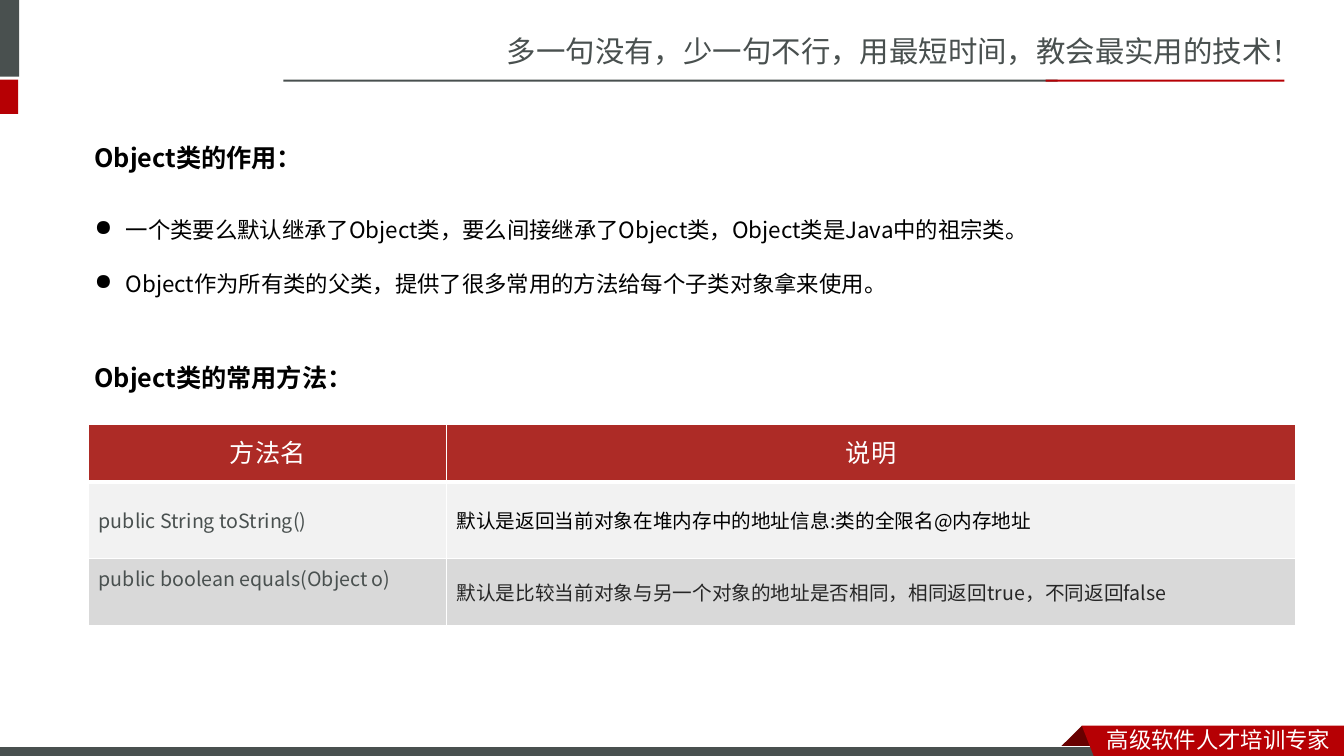
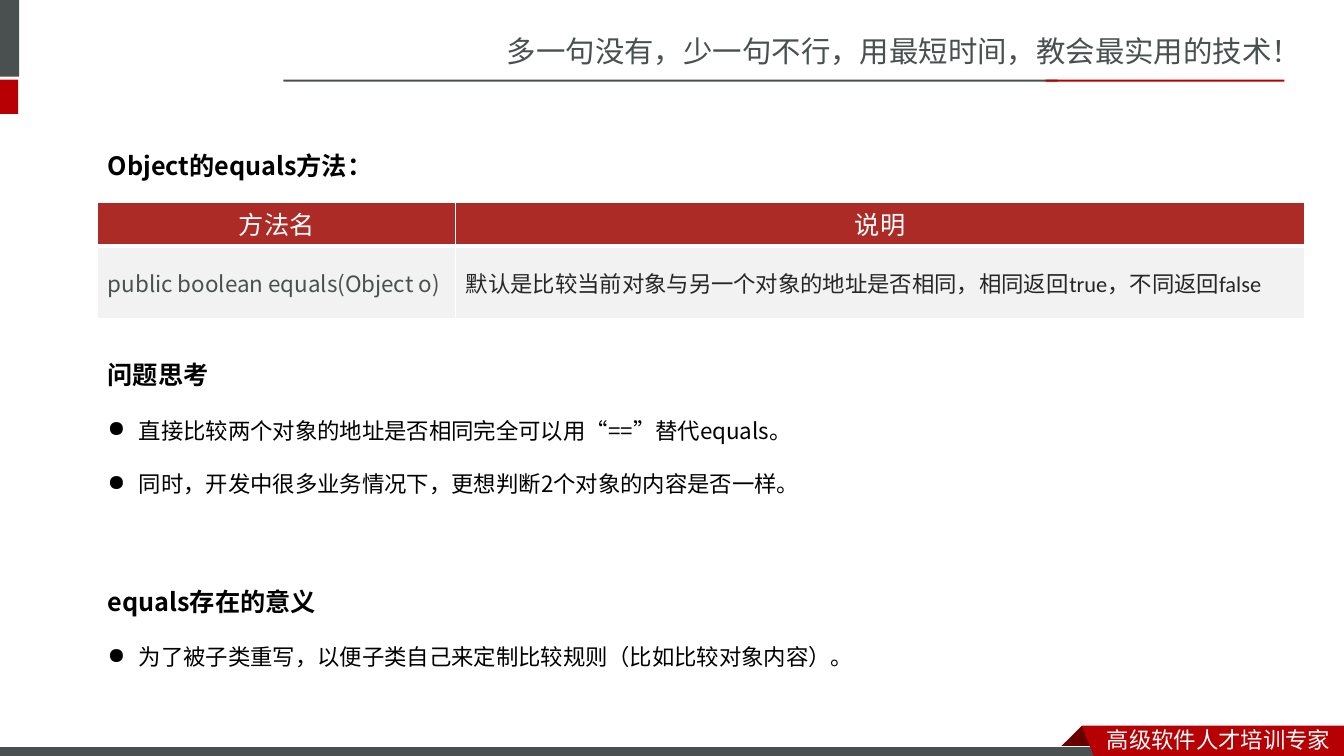
from dataclasses import dataclass

from lxml import etree
from pptx import Presentation
from pptx.dml.color import RGBColor
from pptx.enum.shapes import MSO_SHAPE
from pptx.enum.text import MSO_ANCHOR, MSO_AUTO_SIZE, PP_ALIGN
from pptx.oxml.ns import qn
from pptx.util import Inches, Pt

RECTANGLE = MSO_SHAPE.RECTANGLE
TOP, MIDDLE = MSO_ANCHOR.TOP, MSO_ANCHOR.MIDDLE
CENTER = PP_ALIGN.CENTER
GROW = MSO_AUTO_SIZE.SHAPE_TO_FIT_TEXT


@dataclass(frozen=True)
class Theme:
    gray: str = "49504F"
    red: str = "B60004"
    dark_red: str = "680000"
    header: str = "AD2B26"
    bands: tuple = ("F2F2F2", "D9D9D9")
    black: str = "000000"
    ink: str = "262626"
    white: str = "FFFFFF"
    body_font: str = "Noto Sans CJK JP"
    brand_font: str = "Noto Sans CJK SC"
    latin_font: str = "Calibri"
    slogan_size: int = 21
    heading_size: int = 18
    body_size: int = 16
    small_size: int = 14
    thin_border: float = 1
    thick_border: float = 3


THEME = Theme()
COLUMN_WIDTHS = (3.55, 8.42)
COLUMN_TITLES = ("方法名", "说明")
EQUALS_METHOD = "public boolean equals(Object o)"
EQUALS_MEANING = "默认是比较当前对象与另一个对象的地址是否相同，相同返回true，不同返回false"

BODY = {"size": THEME.body_size, "name": THEME.body_font, "color": THEME.black}
HEADING = BODY | {"size": THEME.heading_size, "bold": True}
SLOGAN = {"size": THEME.slogan_size, "name": THEME.brand_font, "color": THEME.gray}
FOOTER = SLOGAN | {"size": THEME.body_size, "color": THEME.white}
COLUMN_TITLE = {"size": THEME.heading_size, "name": THEME.latin_font, "color": THEME.white}
SMALL_METHOD = BODY | {"size": THEME.small_size, "color": THEME.gray}


def rgb(color):
    return RGBColor.from_string(color)


def write(paragraph, text, style, **layout):
    """Fill a paragraph; style holds font values, layout holds paragraph values."""
    for name, value in layout.items():
        setattr(paragraph, name, value)
    run = paragraph.add_run()
    run.text = text
    for name, value in style.items():
        if name == "color":
            run.font.color.rgb = rgb(value)
        else:
            setattr(run.font, name, Pt(value) if name == "size" else value)
    latin = style["name"]
    east_asian = THEME.brand_font if latin == THEME.latin_font else latin
    etree.SubElement(run.font._element, qn("a:ea"), typeface=east_asian)


def add_bullet(paragraph):
    properties = paragraph._p.get_or_add_pPr()
    properties.set("marL", str(Inches(0.31)))
    properties.set("indent", str(-Inches(0.31)))
    etree.SubElement(properties, qn("a:buChar"), char="●")


def add_text(slide, box, items):
    """Add a text box; each item is (text, style, layout, has_bullet)."""
    frame = slide.shapes.add_textbox(*map(Inches, box)).text_frame
    frame.word_wrap = True
    frame.auto_size = GROW
    for index, (text, style, layout, has_bullet) in enumerate(items):
        paragraph = frame.add_paragraph() if index else frame.paragraphs[0]
        write(paragraph, text, style, **layout)
        if has_bullet:
            add_bullet(paragraph)


def add_line_of_text(slide, box, text, style, **layout):
    add_text(slide, box, [(text, style, layout, False)])


def heading(text, **layout):
    return text, HEADING, {"line_spacing": 2.0} | layout, False


def bullet(text):
    return text, BODY, {"line_spacing": 2.0}, True


def paint(shape, color, line_color=None):
    shape.shadow.inherit = False
    shape.fill.solid()
    shape.fill.fore_color.rgb = rgb(color)
    if line_color:
        shape.line.color.rgb = rgb(line_color)
        shape.line.width = Pt(0.75)
    else:
        shape.line.fill.background()


def add_bar(slide, box, color, line_color=None):
    paint(slide.shapes.add_shape(RECTANGLE, *map(Inches, box)), color, line_color)


def add_polygon(slide, points, color):
    start, *others = [(Inches(x), Inches(y)) for x, y in points]
    builder = slide.shapes.build_freeform(*start, scale=1.0)
    builder.add_line_segments(others, close=True)
    paint(builder.convert_to_shape(), color)


def add_frame(slide):
    """Draw the slogan, side bars, rules and footer ribbon of every slide."""
    add_line_of_text(slide, (4.93, 0.28, 8.4, 0.47),
                     "多一句没有，少一句不行，用最短时间，教会最实用的技术！", SLOGAN)
    add_bar(slide, (0, 0, 0.19, 0.76), THEME.gray)
    add_bar(slide, (0, 0.79, 0.18, 0.34), THEME.red)
    add_bar(slide, (2.81, 0.79, 7.68, 0.02), THEME.gray)
    add_bar(slide, (10.37, 0.79, 2.37, 0.02), THEME.red)
    add_polygon(slide, [(10.73, 7.2), (10.95, 7.42), (10.94, 7.43),
                        (10.52, 7.43), (10.51, 7.42)], THEME.dark_red)
    add_bar(slide, (-0.01, 7.41, 11, 0.12), THEME.gray, THEME.white)
    add_polygon(slide, [(10.73, 7.2), (13.33, 7.2), (13.33, 7.54), (10.86, 7.53)],
                THEME.red)
    add_line_of_text(slide, (10.88, 7.15, 2.45, 0.37), "高级软件人才培训专家", FOOTER)


def set_borders(cell, **widths):
    properties = cell._tc.get_or_add_tcPr()
    for side in "LRTB":
        width = widths.get(side, THEME.thin_border)
        line = etree.SubElement(properties, qn(f"a:ln{side}"), w=str(Pt(width)))
        fill = etree.SubElement(line, qn("a:solidFill"))
        etree.SubElement(fill, qn("a:srgbClr"), val=THEME.white)


def fill_cell(cell, text, style, color, anchor=MIDDLE, borders=None, **layout):
    set_borders(cell, **(borders or {}))
    cell.fill.solid()
    cell.fill.fore_color.rgb = rgb(color)
    cell.vertical_anchor = anchor
    write(cell.text_frame.paragraphs[0], text, style, **layout)


def add_method_table(slide, left, top, heights, rows):
    """Add a table of methods; each row is a list of (text, style, anchor)."""
    box = (left, top, sum(COLUMN_WIDTHS), sum(heights))
    table = slide.shapes.add_table(len(heights), len(COLUMN_WIDTHS),
                                   *map(Inches, box)).table
    for column, width in zip(table.columns, COLUMN_WIDTHS):
        column.width = Inches(width)
    for row, height in zip(table.rows, heights):
        row.height = Inches(height)
    for column, title in enumerate(COLUMN_TITLES):
        fill_cell(table.cell(0, column), title, COLUMN_TITLE, THEME.header,
                  borders={"B": THEME.thick_border},
                  alignment=CENTER, line_spacing=Pt(24))
    for index, row in enumerate(rows):
        borders = {} if index else {"T": THEME.thick_border}
        for column, (text, style, anchor) in enumerate(row):
            fill_cell(table.cell(index + 1, column), text, style,
                      THEME.bands[index % 2], anchor, borders)


def build_object_slide(slide):
    add_text(slide, (0.84, 1.83, 12.07, 1.11), [
        bullet("一个类要么默认继承了Object类，要么间接继承了Object类，Object类是Java中的祖宗类。"),
        bullet("Object作为所有类的父类，提供了很多常用的方法给每个子类对象拿来使用。"),
    ])
    add_method_table(slide, 0.88, 4.21, (0.57, 0.76, 0.67), [
        [("public String toString()", SMALL_METHOD, MIDDLE),
         ("默认是返回当前对象在堆内存中的地址信息:类的全限名@内存地址",
          SMALL_METHOD | {"color": THEME.black}, MIDDLE)],
        [(EQUALS_METHOD, SMALL_METHOD, TOP),
         (EQUALS_MEANING, SMALL_METHOD | {"color": THEME.ink}, MIDDLE)],
    ])
    add_line_of_text(slide, (0.84, 3.55, 6.67, 0.4), "Object类的常用方法：", HEADING)
    add_line_of_text(slide, (0.84, 1.21, 6.67, 0.51), "Object类的作用：", HEADING,
                     line_spacing=1.5)


def build_equals_slide(slide):
    add_text(slide, (0.97, 3.22, 10.03, 3.46), [
        heading("问题思考"),
        bullet("直接比较两个对象的地址是否相同完全可以用“==”替代equals。"),
        bullet("同时，开发中很多业务情况下，更想判断2个对象的内容是否一样。"),
        heading("equals存在的意义", space_before=Pt(42)),
        bullet("为了被子类重写，以便子类自己来定制比较规则（比如比较对象内容）。"),
    ])
    method = BODY | {"name": THEME.brand_font, "color": THEME.gray}
    meaning = BODY | {"name": THEME.latin_font, "color": THEME.ink}
    add_method_table(slide, 0.97, 2.01, (0.41, 0.72), [
        [(EQUALS_METHOD, method, MIDDLE), (EQUALS_MEANING, meaning, MIDDLE)],
    ])
    add_line_of_text(slide, (0.97, 1.44, 6.67, 0.4), "Object的equals方法：", HEADING)


def main():
    presentation = Presentation()
    presentation.slide_width = Inches(13.33)
    presentation.slide_height = Inches(7.5)
    blank_layout = presentation.slide_layouts[6]
    for build in (build_object_slide, build_equals_slide):
        slide = presentation.slides.add_slide(blank_layout)
        add_frame(slide)
        build(slide)
    presentation.save("out.pptx")


if __name__ == "__main__":
    main()
